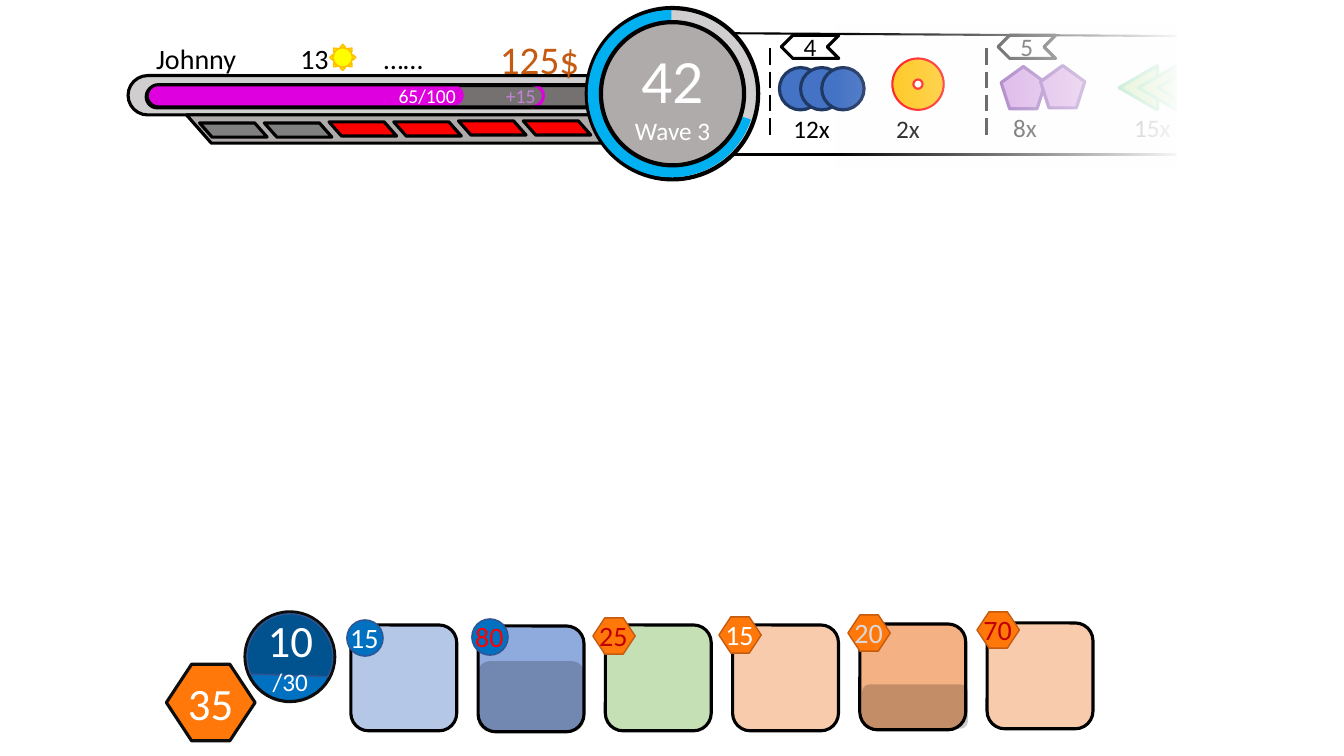
from lxml import etree
from pptx import Presentation
from pptx.dml.color import RGBColor
from pptx.enum.dml import MSO_LINE
from pptx.enum.shapes import MSO_CONNECTOR, MSO_SHAPE
from pptx.enum.text import MSO_ANCHOR, MSO_AUTO_SIZE, PP_ALIGN
from pptx.oxml.ns import qn
from pptx.util import Inches, Pt

ROUNDED, OVAL, BOX = MSO_SHAPE.ROUNDED_RECTANGLE, MSO_SHAPE.OVAL, MSO_SHAPE.RECTANGLE
SLANT, HEXAGON, CHEVRON = MSO_SHAPE.PARALLELOGRAM, MSO_SHAPE.HEXAGON, MSO_SHAPE.CHEVRON
ARC, PIE, CHORD, SUN = MSO_SHAPE.ARC, MSO_SHAPE.PIE, MSO_SHAPE.CHORD, MSO_SHAPE.SUN
DONUT, TRIANGLE = MSO_SHAPE.DONUT, MSO_SHAPE.ISOSCELES_TRIANGLE
PENTAGON = MSO_SHAPE.REGULAR_PENTAGON
LEFT, CENTER, RIGHT = PP_ALIGN.LEFT, PP_ALIGN.CENTER, PP_ALIGN.RIGHT
MIDDLE, GROW = MSO_ANCHOR.MIDDLE, MSO_AUTO_SIZE.SHAPE_TO_FIT_TEXT
STRAIGHT, LONG_DASH = MSO_CONNECTOR.STRAIGHT, MSO_LINE.LONG_DASH

BLACK, WHITE = RGBColor(0, 0, 0), RGBColor(255, 255, 255)
INK = RGBColor(0x0D, 0x0D, 0x0D)
SILVER, STEEL = RGBColor(0xD0, 0xCE, 0xCE), RGBColor(0xAF, 0xAB, 0xAB)
TRACK, GREY = RGBColor(0x76, 0x71, 0x71), RGBColor(0x80, 0x80, 0x80)
PALE_GREY = RGBColor(0xD9, 0xD9, 0xD9)
MAGENTA, LILAC = RGBColor(0xDE, 0, 0xDE), RGBColor(0xC4, 0x81, 0xD9)
PURPLE, CYAN = RGBColor(0x70, 0x30, 0xA0), RGBColor(0, 0xB0, 0xF0)
BLUE, NAVY = RGBColor(0x44, 0x72, 0xC4), RGBColor(0x20, 0x38, 0x64)
MANA, MANA_EDGE = RGBColor(0, 0x70, 0xC0), RGBColor(0x32, 0x54, 0x91)
GOLD, YELLOW = RGBColor(0xFF, 0xC0, 0), RGBColor(0xFF, 0xFF, 0)
RED, DARK_RED = RGBColor(0xFF, 0, 0), RGBColor(0xC0, 0, 0)
LIME, GREEN = RGBColor(0x92, 0xD0, 0x50), RGBColor(0, 0xB0, 0x50)
ORANGE, RUST = RGBColor(0xFF, 0x78, 0x09), RGBColor(0xC5, 0x5A, 0x11)
SKY_CARD, BLUE_CARD = RGBColor(0xB4, 0xC7, 0xE7), RGBColor(0x8F, 0xAA, 0xDC)
GREEN_CARD = RGBColor(0xC5, 0xE0, 0xB4)
PEACH_CARD, ORANGE_CARD = RGBColor(0xF8, 0xCB, 0xAD), RGBColor(0xF4, 0xB1, 0x83)


class GameScreen:
    """Places elements on a slide grid of 75 rows with square cells."""

    font_name = "Calibri"
    outline = 2.25

    def __init__(self, presentation):
        self.slide = presentation.slides.add_slide(presentation.slide_layouts[6])
        self.cell = presentation.slide_height / 75

    def grid(self, *cells):
        return [round(value * self.cell) for value in cells]

    def shape(self, kind, place, fill=None, line=None, width=outline, adjust=(),
              opacity=None, flip=False, rotation=0):
        shape = self.slide.shapes.add_shape(kind, *self.grid(*place))
        shape.shadow.inherit = False
        shape.rotation = rotation
        for index, value in enumerate(adjust):
            shape.adjustments[index] = value
        if fill is None:
            shape.fill.background()
        else:
            shape.fill.solid()
            shape.fill.fore_color.rgb = fill
        if opacity is not None:
            color = shape._element.spPr.find(qn("a:solidFill"))[0]
            self.set_opacity(color, opacity)
        if line is None:
            shape.line.fill.background()
        else:
            shape.line.color.rgb = line
            shape.line.width = Pt(width)
        if flip:
            shape._element.spPr.find(qn("a:xfrm")).set("flipH", "1")
        return shape

    def set_opacity(self, color, percent):
        etree.SubElement(color, qn("a:alpha")).set("val", str(percent * 1000))

    def fade(self, place, color):
        """Rectangle running from clear to solid, left to right."""
        shape = self.shape(BOX, place)
        shape.fill.gradient()
        shape.fill.gradient_angle = 0
        for stop in shape.fill.gradient_stops:
            stop.color.rgb = color
        first = next(shape._element.spPr.iter(qn("a:srgbClr")))
        self.set_opacity(first, 0)

    def line(self, start, end, width, dash=None):
        connector = self.slide.shapes.add_connector(STRAIGHT, *self.grid(*start, *end))
        connector.line.color.rgb = BLACK
        connector.line.width = Pt(width)
        if dash is not None:
            connector.line.dash_style = dash
        etree.SubElement(connector._element.spPr, qn("a:effectLst"))

    def styled_run(self, paragraph, text, size, color):
        run = paragraph.add_run()
        run.text = text
        for name, value in {"name": self.font_name, "size": Pt(size)}.items():
            setattr(run.font, name, value)
        run.font.color.rgb = color

    def label(self, shape, lines, color):
        """Centred lines, each a (text, size) pair, inside a shape."""
        shape.text_frame.vertical_anchor = MIDDLE
        paragraph = shape.text_frame.paragraphs[0]
        paragraph.alignment = CENTER
        for index, (text, size) in enumerate(lines):
            if index:
                paragraph.add_line_break()
            self.styled_run(paragraph, text, size, color)

    def text(self, place, lines, color, align=LEFT, wrap=True, tabs=()):
        frame = self.slide.shapes.add_textbox(*self.grid(*place)).text_frame
        for name, value in {"word_wrap": wrap, "auto_size": GROW}.items():
            setattr(frame, name, value)
        for index, (text, size) in enumerate(lines):
            paragraph = frame.add_paragraph() if index else frame.paragraphs[0]
            paragraph.alignment = align
            self.styled_run(paragraph, text, size, color)
            if tabs:
                properties = paragraph._p.get_or_add_pPr()
                tab_list = etree.SubElement(properties, qn("a:tabLst"))
                for position in self.grid(*tabs):
                    etree.SubElement(tab_list, qn("a:tab"), pos=str(position), algn="l")

    def badge(self, kind, center, cost, color):
        """Cost marker with its number centred on it."""
        x, y = center
        if kind == HEXAGON:
            self.shape(HEXAGON, (x - 2.1, y - 1.8, 4.2, 3.6), ORANGE, RUST, 1, [0.33])
        else:
            self.shape(OVAL, (x - 1.8, y - 1.8, 3.6, 3.6), MANA, MANA_EDGE, 1)
        self.text((x - 2.45, y - 2.2, 4.9, 4.4), [(cost, 20)], color, wrap=False)


def draw_health_and_wave(screen):
    # Health bar
    screen.shape(ROUNDED, (12.7, 7.5, 48.2, 3.9), SILVER, BLACK, adjust=[0.5])
    screen.shape(ROUNDED, (14.5, 8.5, 44.8, 2.2), TRACK, BLACK, adjust=[0.5])
    screen.shape(ROUNDED, (14.7, 8.4, 31.3, 2.1), MAGENTA, adjust=[0.5])
    screen.text((17, 7.8, 29.2, 3.4), [("65/100", 14)], WHITE, RIGHT)
    screen.shape(ARC, (51.6, 8.4, 2.3, 2.2), line=MAGENTA, adjust=[162, 55.75])
    screen.shape(SLANT, (18.5, 11.4, 43.1, 2.8), STEEL, BLACK, adjust=[0.88], flip=True)
    # Wave dial
    screen.shape(OVAL, (58.2, 0.8, 17, 17), SILVER, BLACK, 3)
    screen.shape(ROUNDED, (14.6, 8.4, 44.8, 2.2), line=BLACK, adjust=[0.5])
    screen.shape(PIE, (58.3, 1, 16.6, 16.6), CYAN, adjust=[10.81, 162])
    dial = screen.shape(OVAL, (59.6, 2.2, 14.2, 14.2), STEEL, BLACK, 3)
    screen.label(dial, [("42", 44), ("Wave 3", 18)], WHITE)


def draw_upcoming_waves(screen):
    screen.line((72.7, 15.3), (120.5, 15.3), 2.25)
    screen.line((72.7, 3.3), (120.5, 3.6), 1.5)
    # Wave numbers and dividers
    for x, number in ((77.5, "4"), (99, "5")):
        flag = screen.shape(CHEVRON, (x, 3.5, 5.7, 2.3), WHITE, BLACK, flip=True)
        screen.label(flag, [(number, 18)], BLACK)
        screen.line((x - 1.15, 4.8), (x - 1.15, 13.8), 1.5, LONG_DASH)
    # Enemies
    for index in range(3):
        screen.shape(OVAL, (77.3 + 2.1 * index, 6.7, 4.2, 4.2), BLUE, NAVY)
    screen.shape(DONUT, (88.5, 5.8, 5.1, 5.1), GOLD, RED, 1.5, [0.41])
    for index in range(4):
        screen.shape(TRIANGLE, (110.7 + 1.9 * index, 6.8, 4.4, 3.8), LIME, GREEN,
                     rotation=270)
    for x, y in ((99.3, 6.6), (103.2, 6.5)):
        screen.shape(PENTAGON, (x, y, 4.4, 4.2), LILAC, PURPLE)
    for x, y, width, count in ((77.7, 10.8, 5.7, "12x"), (87.9, 10.8, 4.4, "2x"),
                               (99.5, 10.7, 4.4, "8x"), (111.5, 10.7, 5.7, "15x")):
        screen.text((x, y, width, 4), [(count, 18)], BLACK, wrap=False)
    screen.fade((82.6, 2.4, 35, 14.2), WHITE)


def draw_player_status(screen):
    # Charge slots
    for index, color in enumerate([GREY] * 2 + [RED] * 4):
        place = (19.8 + 6.42 * index, 12.2 - 0.1 * (index // 2), 6.7, 1.4)
        screen.shape(SLANT, place, color, BLACK, adjust=[0.88], flip=True)
    screen.text((24.9, 7.8, 29.2, 3.4), [("+15", 14)], LILAC, RIGHT)
    # Name, level and money
    screen.text((14.5, 3.6, 33.4, 4.4), [("Johnny\t13\t……", 20)], BLACK,
                tabs=(14.3, 22.6))
    screen.shape(SUN, (32.7, 4.4, 2.6, 2.6), YELLOW, GOLD, 1, [0.13])
    screen.text((48.6, 3, 11.2, 5.7), [("125$", 28)], RUST)
    screen.shape(BOX, (116.7, 1, 7.7, 16.6), WHITE)


def draw_cards(screen):
    # Each card: top, colour, shade, badge kind, badge centre, cost, cost colour
    cards = (
        (62, SKY_CARD, None, OVAL, (36.2, 63.3), "15", WHITE),
        (62.1, BLUE_CARD, (47.4, 65.6, 10.5, 7), OVAL, (48.6, 63.2), "80", RED),
        (62, GREEN_CARD, None, HEXAGON, (60.9, 63.1), "25", DARK_RED),
        (62, PEACH_CARD, None, HEXAGON, (73.4, 63), "15", WHITE),
        (61.9, ORANGE_CARD, (85.5, 67.9, 10.5, 4.4), HEXAGON, (86.2, 62.8), "20", PALE_GREY),
        (61.8, PEACH_CARD, None, HEXAGON, (99, 62.5), "70", DARK_RED),
    )
    for index, (top, color, shade, kind, center, cost, cost_color) in enumerate(cards):
        screen.shape(ROUNDED, (34.8 + 12.62 * index, top, 10.5, 10.5), color, BLACK)
        if shade:
            screen.shape(ROUNDED, shade, BLACK, opacity=20)
        screen.badge(kind, center, cost, cost_color)


def draw_resources(screen):
    screen.shape(OVAL, (24.3, 60.7, 8.9, 8.9), MANA, INK)
    screen.shape(CHORD, (24.5, 60.9, 8.5, 8.5), BLACK, MANA_EDGE, 1, [22.93, 162],
                 opacity=25, rotation=117.7)
    screen.text((25.5, 60.3, 6.6, 9.4), [("10", 32), ("/30", 18)], WHITE, CENTER, False)
    screen.shape(HEXAGON, (16.5, 65.9, 8.8, 7.6), ORANGE, INK, adjust=[0.33])
    screen.text((17.3, 66.5, 7.2, 6.4), [("35", 32)], WHITE, CENTER)


def main():
    presentation = Presentation()
    presentation.slide_width, presentation.slide_height = Inches(13.33), Inches(7.5)
    screen = GameScreen(presentation)
    for draw in (draw_health_and_wave, draw_upcoming_waves, draw_player_status,
                 draw_cards, draw_resources):
        draw(screen)
    presentation.save("out.pptx")


if __name__ == "__main__":
    main()
